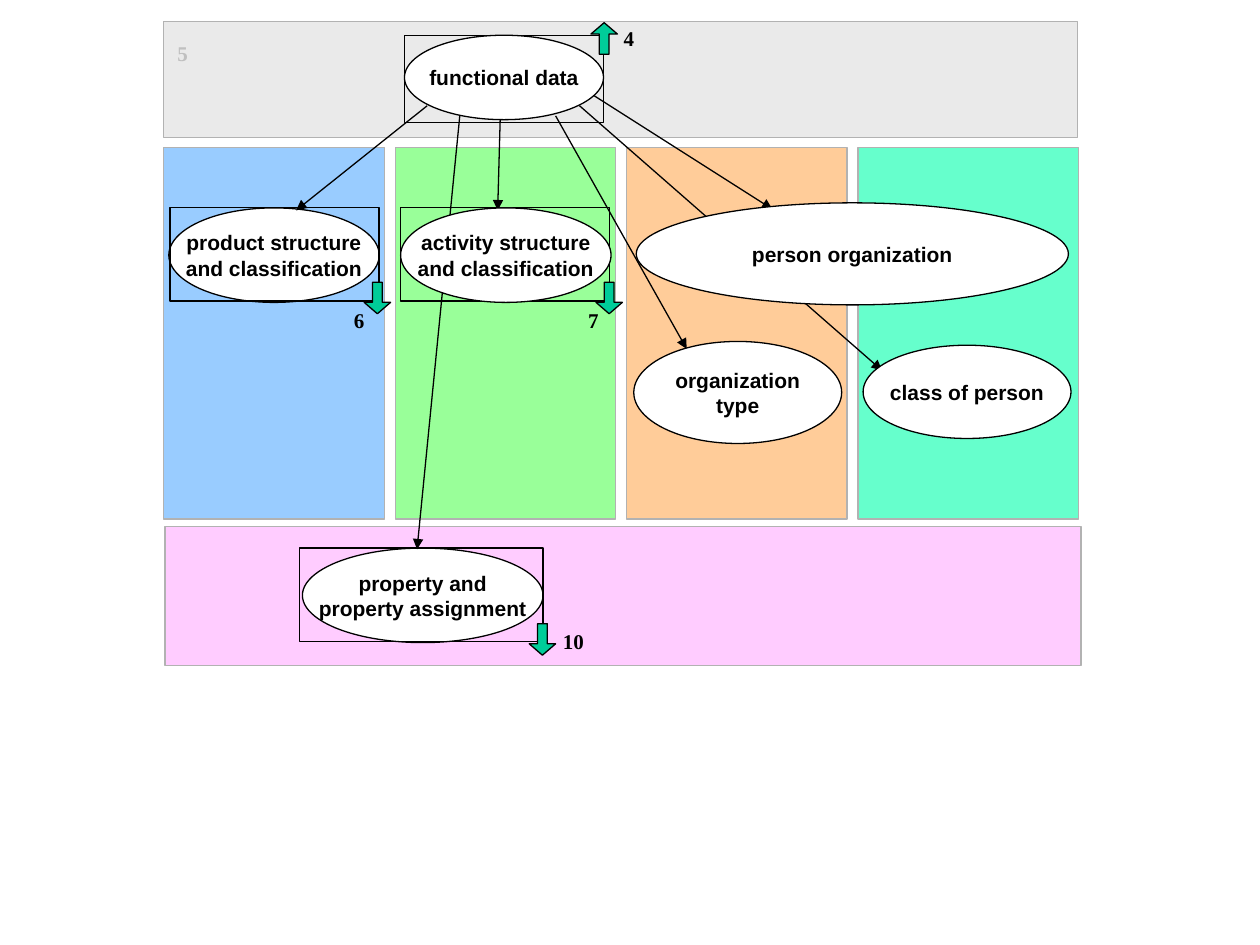
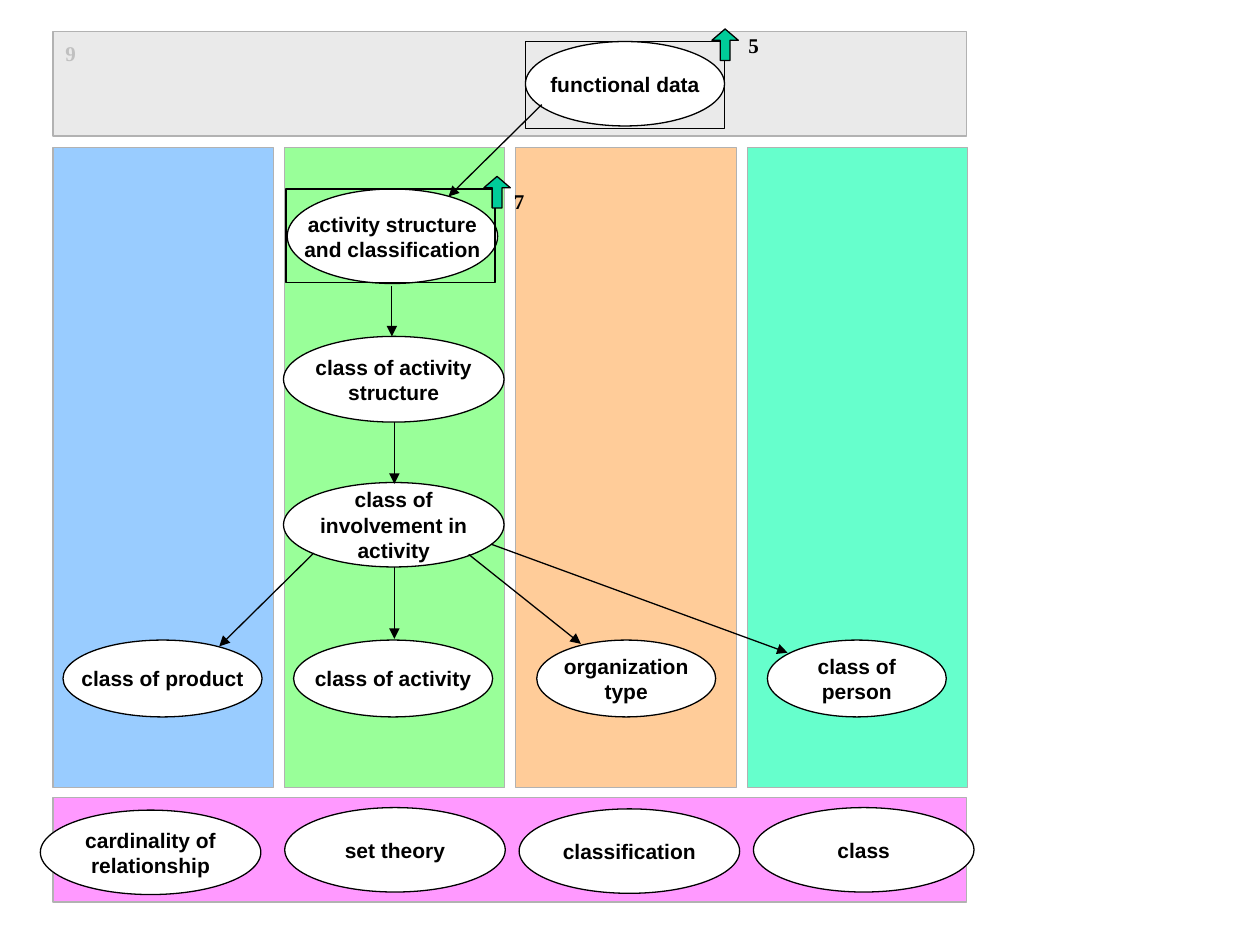
import pptx
import pptx.dml.color
import pptx.enum.shapes
import pptx.enum.text
import pptx.oxml
import pptx.util
from pptx.util import Inches

COLORS = {
    "ink": "000000", "node": "FFFFFF", "band_line": "B2B2B2", "header": "EAEAEA",
    "page_number": "C0C0C0", "block_arrow": "00CC99",
    "product": "99CCFF", "activity": "99FF99", "organization": "FFCC99", "person": "66FFCC",
    "pale_pink": "FFCCFF", "pink": "FF99FF",
}
LANES = ["product", "activity", "organization", "person"]
LANE_WIDTH = 1.75
LANE_TOP = 1.17
LANE_STEP = (7.26 - LANE_WIDTH) / 3
KINDS = pptx.enum.shapes.MSO_SHAPE


def draw(slide, kind, box, fill=None, line="ink"):
    shape = slide.shapes.add_shape(kind, *[Inches(value) for value in box])
    shape.shadow.inherit = False
    if fill:
        shape.fill.solid()
        shape.fill.fore_color.rgb = pptx.dml.color.RGBColor.from_string(COLORS[fill])
    else:
        shape.fill.background()
    shape.line.color.rgb = pptx.dml.color.RGBColor.from_string(COLORS[line])
    shape.line.width = pptx.util.Pt(0.75)
    return shape


def write(shape, text, font_name, color, alignment):
    shape.text_frame.text = text
    shape.text_frame.word_wrap = False
    for paragraph in shape.text_frame.paragraphs:
        paragraph.alignment = alignment
        paragraph.font.name = font_name
        paragraph.font.size = pptx.util.Pt(12)
        paragraph.font.bold = True
        paragraph.font.color.rgb = pptx.dml.color.RGBColor.from_string(COLORS[color])


data_map = {
    "left": 1.3,
    "lane_height": 2.95,
    "header": (1.3, 0.17, 7.25, 0.92),
    "footer": ((1.31, 4.18, 7.27, 1.1), "pale_pink"),
    "parts": [
        ("frame", (3.21, 0.28, 1.58, 0.69)),
        ("frame", (3.18, 1.65, 1.66, 0.74)),
        ("node", (1.34, 1.65, 1.67, 0.75), "product structure\nand classification"),
        ("frame", (1.35, 1.65, 1.66, 0.74)),
        ("link", (3.97, 0.95, 3.95, 1.67)),
        ("link", (3.39, 0.84, 2.35, 1.67)),
        ("link", (4.41, 0.92, 5.45, 2.77)),
        ("link", (4.6, 0.84, 7, 2.94)),
        ("link", (4.7, 0.75, 6.13, 1.66)),
        ("down", (2.89, 2.24)),
        ("down", (4.73, 2.24)),
        ("up", (4.69, 0.18)),
        ("node", (5.03, 2.71, 1.65, 0.81), "organization\ntype"),
        ("node", (6.85, 2.74, 1.65, 0.74), "class of person"),
        ("node", (5.05, 1.61, 3.43, 0.81), "person organization"),
        ("node", (2.4, 4.35, 1.91, 0.75), "property and\nproperty assignment"),
        ("frame", (2.38, 4.35, 1.93, 0.74)),
        ("down", (4.2, 4.95)),
        ("link", (3.65, 0.91, 3.31, 4.36)),
        ("node", (3.21, 0.28, 1.58, 0.67), "functional data"),
        ("node", (3.18, 1.65, 1.67, 0.75), "activity structure\nand classification"),
    ],
    "numbers": [
        ("5", 1.31, 0.27, 0.28, "page_number"),
        ("4", 4.85, 0.15, 0.28, "ink"),
        ("6", 2.71, 2.39, 0.28, "ink"),
        ("7", 4.57, 2.39, 0.28, "ink"),
        ("10", 4.37, 4.94, 0.4, "ink"),
    ],
}
activity_map = {
    "left": 0.42,
    "lane_height": 5.08,
    "header": (0.42, 0.25, 7.25, 0.83),
    "footer": ((0.42, 6.33, 7.25, 0.83), "pink"),
    "parts": [
        ("node", (4.17, 0.33, 1.58, 0.67), "functional data"),
        ("frame", (4.17, 0.33, 1.58, 0.69)),
        ("link", (4.3, 0.83, 3.56, 1.56)),
        ("node", (2.28, 1.5, 1.67, 0.75), "activity structure\nand classification"),
        ("node", (2.25, 2.67, 1.75, 0.68), "class of activity\nstructure"),
        ("node", (2.25, 3.83, 1.75, 0.67), "class of\ninvolvement in\nactivity"),
        ("node", (0.5, 5.08, 1.58, 0.61), "class of product"),
        ("node", (2.33, 5.08, 1.58, 0.61), "class of activity"),
        ("node", (4.26, 5.08, 1.42, 0.61), "organization\ntype"),
        ("node", (6.09, 5.08, 1.42, 0.61), "class of\nperson"),
        ("link", (3.11, 2.27, 3.11, 2.67)),
        ("link", (3.13, 3.35, 3.13, 3.84)),
        ("link", (3.13, 4.5, 3.13, 5.07)),
        ("link", (2.49, 4.39, 1.74, 5.13)),
        ("link", (3.72, 4.4, 4.61, 5.11)),
        ("link", (3.9, 4.32, 6.25, 5.18)),
        ("frame", (2.27, 1.5, 1.66, 0.74)),
        ("up", (5.65, 0.23)),
        ("up", (3.84, 1.4)),
        ("node", (2.26, 6.41, 1.75, 0.67), "set theory"),
        ("node", (5.98, 6.41, 1.75, 0.67), "class"),
        ("node", (4.12, 6.42, 1.75, 0.67), "classification"),
        ("node", (0.32, 6.43, 1.75, 0.67), "cardinality of\nrelationship"),
    ],
    "numbers": [
        ("5", 5.84, 0.21, 0.28, "ink"),
        ("9", 0.42, 0.27, 0.28, "page_number"),
        ("7", 3.98, 1.45, 0.28, "ink"),
    ],
}

presentation = pptx.Presentation()
presentation.slide_width = Inches(10)
presentation.slide_height = Inches(7.5)

for diagram in (data_map, activity_map):
    slide = presentation.slides.add_slide(presentation.slide_layouts[6])

    footer_box, footer_color = diagram["footer"]
    draw(slide, KINDS.RECTANGLE, footer_box, footer_color, "band_line")
    draw(slide, KINDS.RECTANGLE, diagram["header"], "header", "band_line")
    for index, lane in enumerate(LANES):
        lane_left = diagram["left"] + index * LANE_STEP
        lane_box = (lane_left, LANE_TOP, LANE_WIDTH, diagram["lane_height"])
        draw(slide, KINDS.RECTANGLE, lane_box, lane, "band_line")

    for kind, place, *texts in diagram["parts"]:
        if kind == "frame":
            draw(slide, KINDS.RECTANGLE, place)
        elif kind == "node":
            node = draw(slide, KINDS.OVAL, place, "node")
            write(node, texts[0], "Arial", "ink", pptx.enum.text.PP_ALIGN.CENTER)
            node.text_frame.vertical_anchor = pptx.enum.text.MSO_ANCHOR.MIDDLE
        elif kind == "link":
            link = slide.shapes.add_connector(
                pptx.enum.shapes.MSO_CONNECTOR.STRAIGHT, *[Inches(value) for value in place])
            link.line.color.rgb = pptx.dml.color.RGBColor.from_string(COLORS["ink"])
            link.line.width = pptx.util.Pt(0.75)
            arrowhead = pptx.oxml.xmlchemy.OxmlElement("a:tailEnd")
            arrowhead.set("type", "triangle")
            link.line._get_or_add_ln().append(arrowhead)
            link._element.spPr.append(pptx.oxml.xmlchemy.OxmlElement("a:effectLst"))
        else:
            arrow_kind = KINDS.UP_ARROW if kind == "up" else KINDS.DOWN_ARROW
            block_arrow = draw(slide, arrow_kind, (*place, 0.21, 0.25), "block_arrow")
            block_arrow.adjustments[0] = 0.37
            block_arrow.adjustments[1] = 0.43

    for number, left, top, width, color in diagram["numbers"]:
        label = slide.shapes.add_textbox(Inches(left), Inches(top), Inches(width), Inches(0.3))
        write(label, number, "Times New Roman", color, pptx.enum.text.PP_ALIGN.LEFT)
        label.text_frame.auto_size = pptx.enum.text.MSO_AUTO_SIZE.SHAPE_TO_FIT_TEXT

presentation.save("out.pptx")
